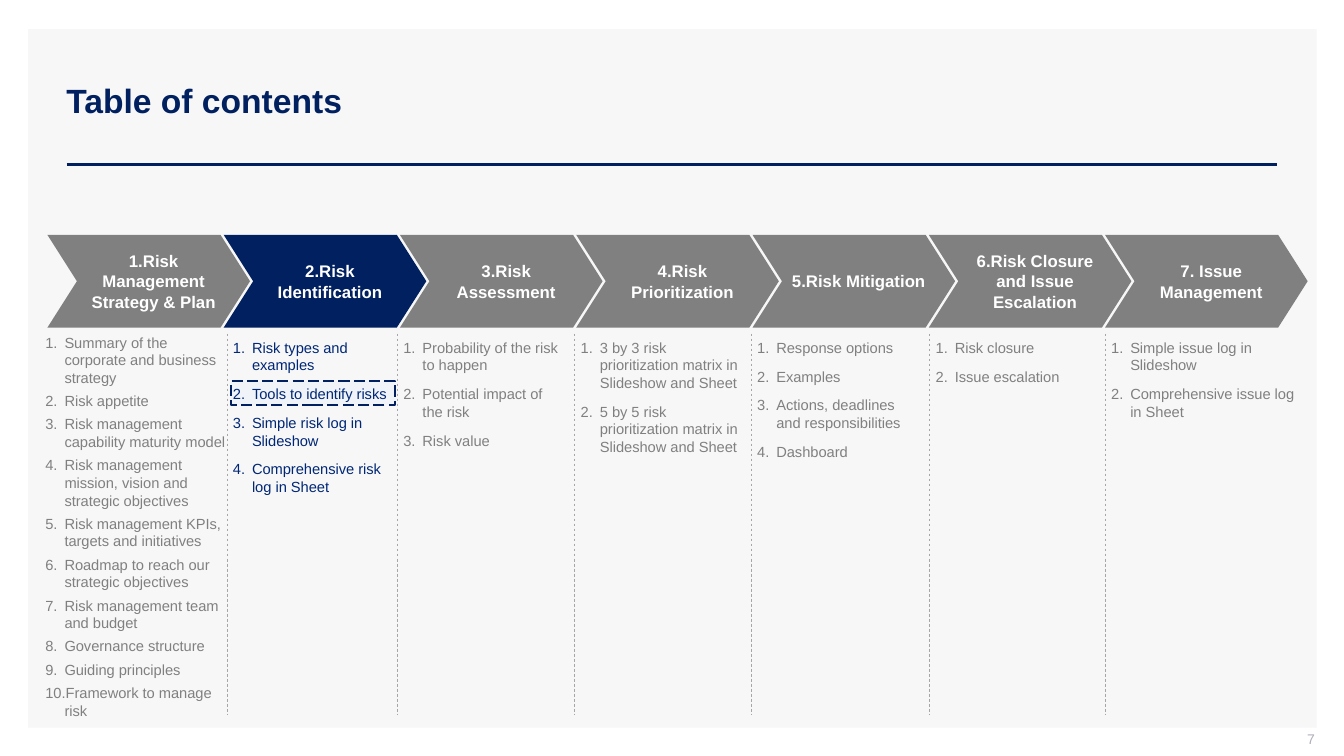
from collections import namedtuple
from pptx import Presentation
from pptx.dml.color import RGBColor
from pptx.enum.dml import MSO_LINE
from pptx.enum.shapes import MSO_CONNECTOR, MSO_SHAPE
from pptx.enum.text import MSO_ANCHOR, MSO_AUTO_SIZE, PP_ALIGN
from pptx.oxml.ns import qn
from pptx.util import Inches, Pt
from lxml.etree import SubElement

# Grid: 1333 columns by 750 rows of square cells
COLS, ROWS = 1333, 750
CELL = Inches(0.01)
Box = namedtuple("Box", "x y w h")
Step = namedtuple("Step", "head edge wide items")


class Theme:
    font = "Arial"
    navy, ink, grey, white = "002060", "002776", "808080", "FFFFFF"
    panel, tint, rule, page = "F7F7F7", "D6E3FF", "A6A6A6", "ADAFBB"
    title, label, body, small = 24, 12, 10.5, 10


# Each step: heading, left edge and text width in cells, list items
STEPS = [
    Step("1.Risk Management Strategy & Plan", 39, 190, [
        "Summary of the corporate and business strategy",
        "Risk appetite",
        "Risk management capability maturity model",
        "Risk management mission, vision and strategic objectives",
        "Risk management KPIs, targets and initiatives",
        "Roadmap to reach our strategic objectives",
        "Risk management team and budget",
        "Governance structure",
        "Guiding principles",
        "Framework to manage risk"]),
    Step("2.Risk Identification", 225, 170, [
        "Risk types and examples",
        "Tools to identify risks",
        "Simple risk log in Slideshow",
        "Comprehensive risk log in Sheet"]),
    Step("3.Risk Assessment", 394, 171, [
        "Probability of the risk to happen",
        "Potential impact of the risk",
        "Risk value"]),
    Step("4.Risk Prioritization", 570, 176, [
        "3 by 3 risk prioritization matrix in Slideshow and Sheet",
        "5 by 5 risk prioritization matrix in Slideshow and Sheet"]),
    Step("5.Risk Mitigation", 745, 168, [
        "Response options",
        "Examples",
        "Actions, deadlines and responsibilities",
        "Dashboard"]),
    Step("6.Risk Closure and Issue Escalation", 922, 192, [
        "Risk closure",
        "Issue escalation"]),
    Step("7. Issue Management", 1096, 192, [
        "Simple issue log in Slideshow",
        "Comprehensive issue log in Sheet"]),
]
ACTIVE = 1


def apply(obj, form):
    for key, value in form.items():
        setattr(obj, key, value)


def place(box):
    return [round(v * CELL) for v in box]


def write(frame, lines, size, color, bold=False, form=None, para=None,
          gap=0, count=False):
    apply(frame, {"word_wrap": True, **(form or {})})
    for i, line in enumerate(lines):
        p = frame.paragraphs[0] if i == 0 else frame.add_paragraph()
        if count:
            props = p._p.get_or_add_pPr()
            props.set("marL", str(19 * CELL))
            props.set("indent", str(-19 * CELL))
            SubElement(props, qn("a:buFont"), typeface=Theme.font)
            SubElement(props, qn("a:buAutoNum"), type="arabicPeriod")
        apply(p, {"space_before": Pt(gap if i else 0),
                  "space_after": Pt(gap), **(para or {})})
        run = p.add_run()
        run.text = line
        apply(run.font, {"name": Theme.font, "size": Pt(size), "bold": bold})
        run.font.color.rgb = RGBColor.from_string(color)


def label(slide, box, lines, *args, **opts):
    frame = slide.shapes.add_textbox(*place(box)).text_frame
    write(frame, lines, *args, **opts)


def block(slide, kind, box, fill):
    shape = slide.shapes.add_shape(kind, *place(box))
    shape.shadow.inherit = False
    shape.fill.solid()
    shape.fill.fore_color.rgb = RGBColor.from_string(fill)
    shape.line.fill.background()
    return shape


def stroke(line, color, width, dash=None):
    line.color.rgb = RGBColor.from_string(color)
    apply(line, {"width": Pt(width), "dash_style": dash})


def rule(slide, x1, y1, x2, y2, *style):
    line = slide.shapes.add_connector(MSO_CONNECTOR.STRAIGHT,
                                      *place((x1, y1, x2, y2)))
    SubElement(line._element.spPr, qn("a:effectLst"))
    stroke(line.line, *style)


def frame(slide, box):
    # Panel, title, rule and page number
    block(slide, MSO_SHAPE.RECTANGLE, box, Theme.panel)
    left, top = box.x + 38, box.y + 134
    rule(slide, left, top, left + 1201, top, Theme.navy, 2)
    label(slide, Box(box.x + 28, box.y + 11, 1211, 119),
          ["Table of contents"], Theme.title, Theme.navy, True,
          form={"vertical_anchor": MSO_ANCHOR.MIDDLE})
    label(slide, Box(box.x + box.w - 302, box.y + box.h + 3, 300, 21),
          ["7"], Theme.small, Theme.page,
          form={"vertical_anchor": MSO_ANCHOR.MIDDLE, "margin_top": 0,
                "margin_right": 0},
          para={"alignment": PP_ALIGN.RIGHT})


def chain(slide, box):
    # Row of overlapping chevrons
    wide = 201
    pitch = (box.w - wide) / (len(STEPS) - 1)
    for i, step in enumerate(STEPS):
        fill = Theme.navy if i == ACTIVE else Theme.grey
        arrow = block(slide, MSO_SHAPE.CHEVRON,
                      Box(box.x + i * pitch, box.y, wide, box.h), fill)
        arrow.adjustments[0] = 0.318
        write(arrow.text_frame, [step.head], Theme.label, Theme.white, True,
              form={"vertical_anchor": MSO_ANCHOR.MIDDLE, "margin_right": 0},
              para={"alignment": PP_ALIGN.CENTER}, gap=6)


def marker(slide, box):
    # Dashed highlight with a faint tint
    shape = block(slide, MSO_SHAPE.RECTANGLE, box, Theme.tint)
    tint = shape._element.spPr.find(qn("a:solidFill"))[0]
    SubElement(tint, qn("a:alpha"), val="20000")
    stroke(shape.line, Theme.navy, 1, MSO_LINE.LONG_DASH)


def lists(slide, box):
    # Numbered lists with dashed dividers
    marker(slide, Box(STEPS[ACTIVE].edge + 4, box.y + 47, 163, 24))
    for i, step in enumerate(STEPS):
        dense = len(step.items) > 4
        if i:
            rule(slide, step.edge, box.y, step.edge, box.y + box.h,
                 Theme.rule, 0.5, MSO_LINE.DASH)
        label(slide, Box(step.edge + 6, box.y - 5 * dense, step.wide, box.h),
              step.items, Theme.body,
              Theme.ink if i == ACTIVE else Theme.grey,
              form={"margin_left": 0,
                    "auto_size": MSO_AUTO_SIZE.SHAPE_TO_FIT_TEXT},
              gap=2 if dense else 4, count=True)


def main():
    deck = Presentation()
    apply(deck, {"slide_width": COLS * CELL, "slide_height": ROWS * CELL})
    slide = deck.slides.add_slide(deck.slide_layouts[6])
    frame(slide, Box(28, 29, 1278, 693))
    chain(slide, Box(47, 233, 1250, 92))
    lists(slide, Box(39, 331, 1249, 378))
    deck.save("out.pptx")


if __name__ == "__main__":
    main()
